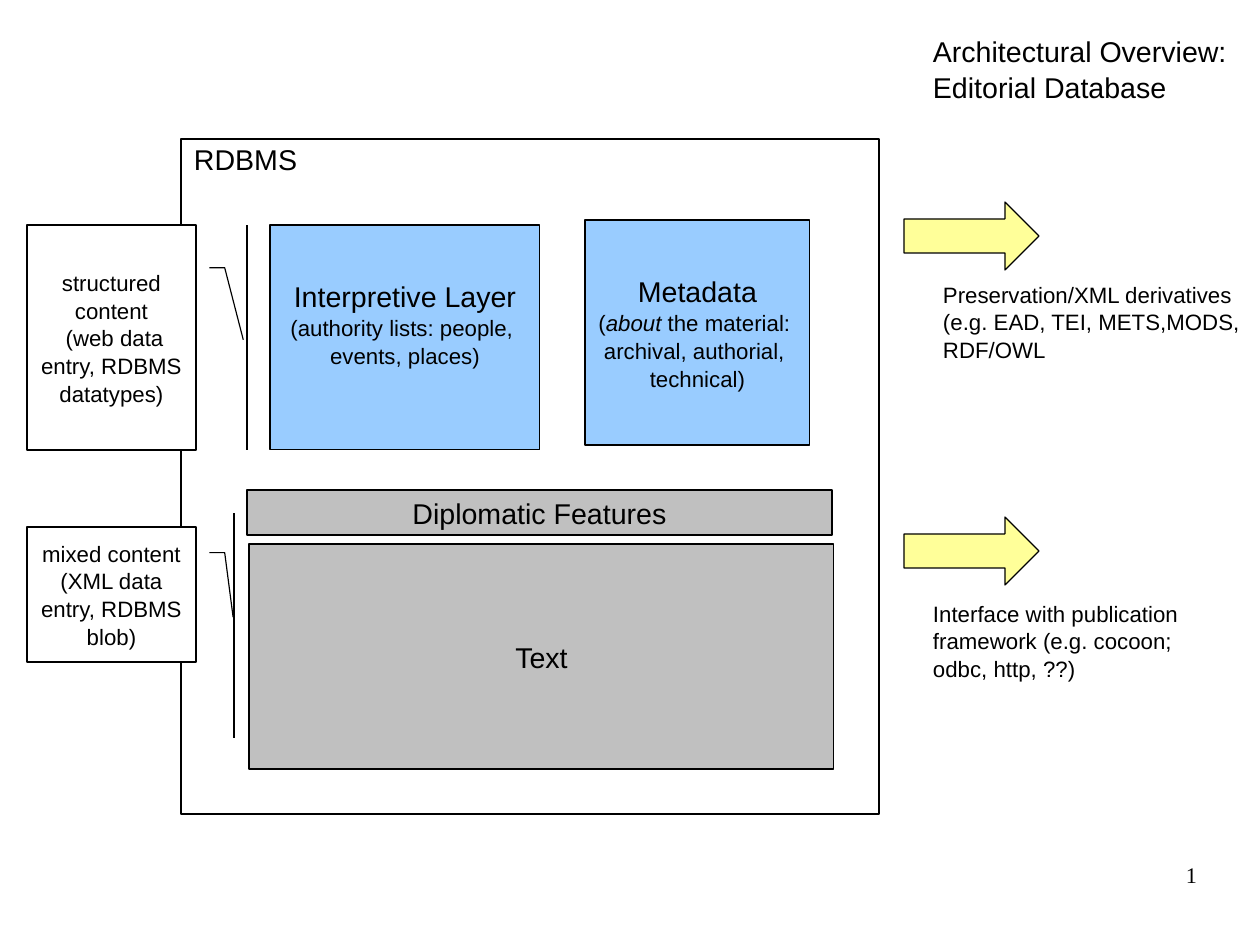
from pptx import Presentation
from pptx.dml.color import RGBColor
from pptx.enum.shapes import MSO_CONNECTOR, MSO_SHAPE
from pptx.enum.text import MSO_ANCHOR, PP_ALIGN
from pptx.oxml.ns import qn
from pptx.util import Emu, Pt
from lxml import etree

RECT, ARROW = MSO_SHAPE.RECTANGLE, MSO_SHAPE.RIGHT_ARROW
CALLOUT, STRAIGHT = MSO_SHAPE.LINE_CALLOUT_2, MSO_CONNECTOR.STRAIGHT
LEFT, CENTER, RIGHT = PP_ALIGN.LEFT, PP_ALIGN.CENTER, PP_ALIGN.RIGHT
TOP, MIDDLE = MSO_ANCHOR.TOP, MSO_ANCHOR.MIDDLE

PX = 8000  # EMU in one px
SLIDE = (1260, 945)
INSET = (11, 6)
COLORS = {"ink": "000000", "paper": "FFFFFF", "content": "C0C0C0",
          "layer": "99CCFF", "output": "FFFF99"}
BIG, SMALL = 18, 14

# Content: box in px, then lines of (text, size); *word* is italic
DATABASE = (181, 139, 698, 675)
# box, fill, space kept free at the bottom, lines
LAYERS = [
    ((249, 544, 585, 225), "content", 0, [("Text", BIG)]),
    ((247, 490, 585, 45), "content", 0, [("Diplomatic Features", BIG)]),
    ((585, 220, 225, 225), "layer", 0,
     [("Metadata", BIG), ("(*about* the material: ", SMALL),
      ("archival, authorial, ", SMALL), ("technical)", SMALL)]),
    ((270, 225, 270, 225), "layer", 28,
     [("Interpretive Layer", BIG), ("(authority lists: people, ", SMALL),
      ("events, places)", SMALL)]),
]
OUTPUT_ARROWS = [(904, 202, 135, 68), (904, 517, 135, 68)]
# box, wrap, lines
LABELS = [
    ((932, 274, 320, 95), True,
     [("Preservation/XML derivatives (e.g. EAD, TEI, METS,MODS, RDF/OWL", SMALL)]),
    ((922, 593, 319, 95), True,
     [("Interface with publication framework (e.g. cocoon; odbc, http, ??)", SMALL)]),
    ((183, 135, 134, 47), False, [("RDBMS", BIG)]),
    ((922, 27, 325, 82), False,
     [("Architectural Overview:", BIG), ("Editorial Database", BIG)]),
]
# box, end of the leader as (y, x) shares of the box, bracket ends, lines
CONTENT_NOTES = [
    ((27, 225, 169, 225), (0.51, 1.28), (247, 225, 247, 450),
     [("structured content", SMALL), (" (web data entry, RDBMS datatypes)", SMALL)]),
    ((27, 527, 169, 135), (0.67, 1.22), (234, 513, 234, 738),
     [("mixed content (XML data entry, RDBMS blob)", SMALL)]),
]
LEADER_START = (0.19, 1.08, 0.19, 1.17)
PAGE_NUMBER = ((903, 861, 294, 65), [("1", SMALL)])


def emu(lengths):
    return [Emu(n * PX) for n in lengths]


def color(name):
    return RGBColor.from_string(COLORS[name])


def outline(line):
    line.color.rgb = color("ink")
    line.width = Pt(0.75)


def write(shape, lines, align=CENTER, anchor=MIDDLE, wrap=True,
          font="Arial", spacing=1.04, inset=INSET, free_bottom=0):
    frame = shape.text_frame
    frame.word_wrap = wrap
    frame.vertical_anchor = anchor
    frame.margin_left = frame.margin_right = Emu(inset[0] * PX)
    frame.margin_top = Emu(inset[1] * PX)
    frame.margin_bottom = Emu((inset[1] + free_bottom) * PX)
    for i, (text, size) in enumerate(lines):
        paragraph = frame.add_paragraph() if i else frame.paragraphs[0]
        paragraph.alignment = align
        paragraph.line_spacing = spacing
        for j, part in enumerate(text.split("*")):
            run = paragraph.add_run()
            run.text = part
            run.font.name = font
            run.font.size = Pt(size)
            run.font.italic = j % 2 == 1
            run.font.color.rgb = color("ink")


def add_block(shapes, kind, box, fill=None):
    block = shapes.add_shape(kind, *emu(box))
    block.shadow.inherit = False
    if fill:
        block.fill.solid()
        block.fill.fore_color.rgb = color(fill)
    else:
        block.fill.background()
    outline(block.line)
    return block


def main():
    deck = Presentation()
    deck.slide_width, deck.slide_height = emu(SLIDE)
    shapes = deck.slides.add_slide(deck.slide_layouts[6]).shapes

    # Database and its layers
    add_block(shapes, RECT, DATABASE)
    for box, fill, free_bottom, lines in LAYERS:
        write(add_block(shapes, RECT, box, fill), lines, free_bottom=free_bottom)

    # Outputs, labels and title
    for box in OUTPUT_ARROWS:
        add_block(shapes, ARROW, box, "output")
    for box, wrap, lines in LABELS:
        write(shapes.add_textbox(*emu(box)), lines, LEFT, TOP, wrap)

    # Content notes with leaders and brackets
    for box, leader_end, bracket_ends, lines in CONTENT_NOTES:
        note = add_block(shapes, CALLOUT, box, "paper")
        for i, share in enumerate(LEADER_START + leader_end):
            note.adjustments[i] = share
        write(note, lines)
        bracket = shapes.add_connector(STRAIGHT, *emu(bracket_ends))
        outline(bracket.line)
        etree.SubElement(bracket._element.spPr, qn("a:effectLst"))

    # Page number
    box, lines = PAGE_NUMBER
    write(shapes.add_textbox(*emu(box)), lines, RIGHT, TOP,
          font="Times New Roman", spacing=1.02, inset=(0, 0))

    deck.save("out.pptx")


if __name__ == "__main__":
    main()
